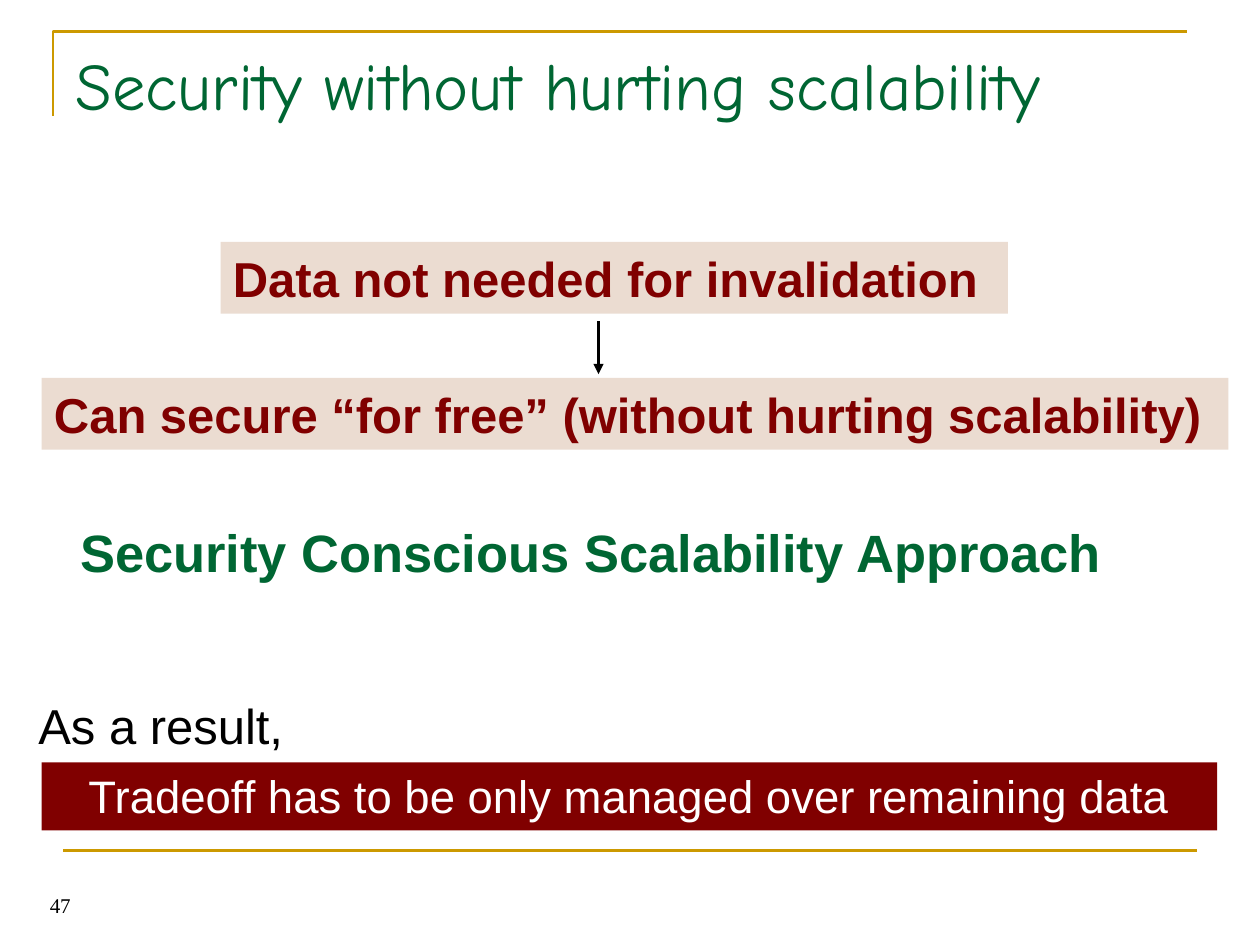
from dataclasses import dataclass

from lxml import etree
from pptx import Presentation
from pptx import util as u
from pptx.dml.color import RGBColor
from pptx.enum import shapes, text
from pptx.oxml.ns import qn


@dataclass(frozen=True)
class Theme:
    gold: str = "CC9900"
    green: str = "006633"
    maroon: str = "800000"
    sand: str = "EBDCD1"
    black: str = "000000"
    white: str = "FFFFFF"
    title: int = 38
    approach: int = 30
    statement: int = 28
    tradeoff: int = 26
    number: int = 12
    rule: float = 1.5


theme = Theme()
LEFT, CENTER, RIGHT = text.PP_ALIGN.LEFT, text.PP_ALIGN.CENTER, text.PP_ALIGN.RIGHT
TOP, BOTTOM = text.MSO_ANCHOR.TOP, text.MSO_ANCHOR.BOTTOM


def write(box, words, size, font, color, bold=False, align=LEFT, anchor=TOP):
    frame = box.text_frame
    frame_format = {
        "word_wrap": True,
        "vertical_anchor": anchor,
        "auto_size": text.MSO_AUTO_SIZE.NONE,
        "margin_left": u.Inches(0.1),
        "margin_right": u.Inches(0.1),
        "margin_top": u.Inches(0.05),
        "margin_bottom": u.Inches(0.05),
    }
    for key, value in frame_format.items():
        setattr(frame, key, value)
    paragraph = frame.paragraphs[0]
    paragraph.alignment = align
    run = paragraph.add_run()
    run.text = words
    for key, value in {"name": font, "size": u.Pt(size), "bold": bold}.items():
        setattr(run.font, key, value)
    run.font.color.rgb = RGBColor.from_string(color)


def stroke(rule, color):
    rule.line.color.rgb = RGBColor.from_string(color)
    rule.line.width = u.Pt(theme.rule)


deck = Presentation()
deck.slide_width, deck.slide_height = u.Inches(10), u.Inches(7.5)
slide = deck.slides.add_slide(deck.slide_layouts[5])

corner_pen = slide.shapes.build_freeform(u.Inches(0.42), u.Inches(0.92))
corner_pen.add_line_segments(
    [(u.Inches(0.42), u.Inches(0.25)), (u.Inches(9.42), u.Inches(0.25))], close=False
)
corner = corner_pen.convert_to_shape()
corner.shadow.inherit = False
corner.fill.background()
stroke(corner, theme.gold)

title = slide.shapes.title
title_place = {"left": 0.5, "top": 0.3, "width": 9, "height": 1.25}
for key, value in title_place.items():
    setattr(title, key, u.Inches(value))
write(title, "Security without hurting scalability", theme.title, "Comic Neue", theme.green)

panels = [
    ((1.75, 1.92, 6.25, 0.57), "Data not needed for invalidation",
     theme.statement, theme.sand, theme.maroon, True, LEFT),
    ((0.33, 3, 9.42, 0.57), "Can secure “for free” (without hurting scalability)",
     theme.statement, theme.sand, theme.maroon, True, LEFT),
    ((0.33, 6.05, 9.33, 0.54), "Tradeoff has to be only managed over remaining data",
     theme.tradeoff, theme.maroon, theme.white, False, CENTER),
]
for place, words, size, fill, color, bold, align in panels:
    panel = slide.shapes.add_shape(shapes.MSO_SHAPE.RECTANGLE, *map(u.Inches, place))
    panel.shadow.inherit = False
    panel.fill.solid()
    panel.fill.fore_color.rgb = RGBColor.from_string(fill)
    panel.line.fill.background()
    write(panel, words, size, "Arial", color, bold, align)

labels = [
    ((-0.25, 4.08, 10, 0.6), "Security Conscious Scalability Approach ", theme.approach,
     "Arial", theme.green, True, CENTER),
    ((-0.17, 5.47, 3, 0.57), "As a result, ", theme.statement,
     "Arial", theme.black, False, CENTER),
    ((-1.67, 6.83, 2.33, 0.5), "47", theme.number,
     "Times New Roman", theme.black, False, RIGHT, BOTTOM),
]
for place, *content in labels:
    write(slide.shapes.add_textbox(*map(u.Inches, place)), *content)

connectors = [
    ((0.5, 6.75, 9.5, 6.75), theme.gold, False),
    ((4.75, 2.55, 4.75, 2.97), theme.black, True),
]
for ends, color, has_arrowhead in connectors:
    rule = slide.shapes.add_connector(shapes.MSO_CONNECTOR.STRAIGHT, *map(u.Inches, ends))
    stroke(rule, color)
    if has_arrowhead:
        etree.SubElement(rule.line._get_or_add_ln(), qn("a:tailEnd"), type="triangle")
    etree.SubElement(rule._element.spPr, qn("a:effectLst"))

deck.save("out.pptx")
